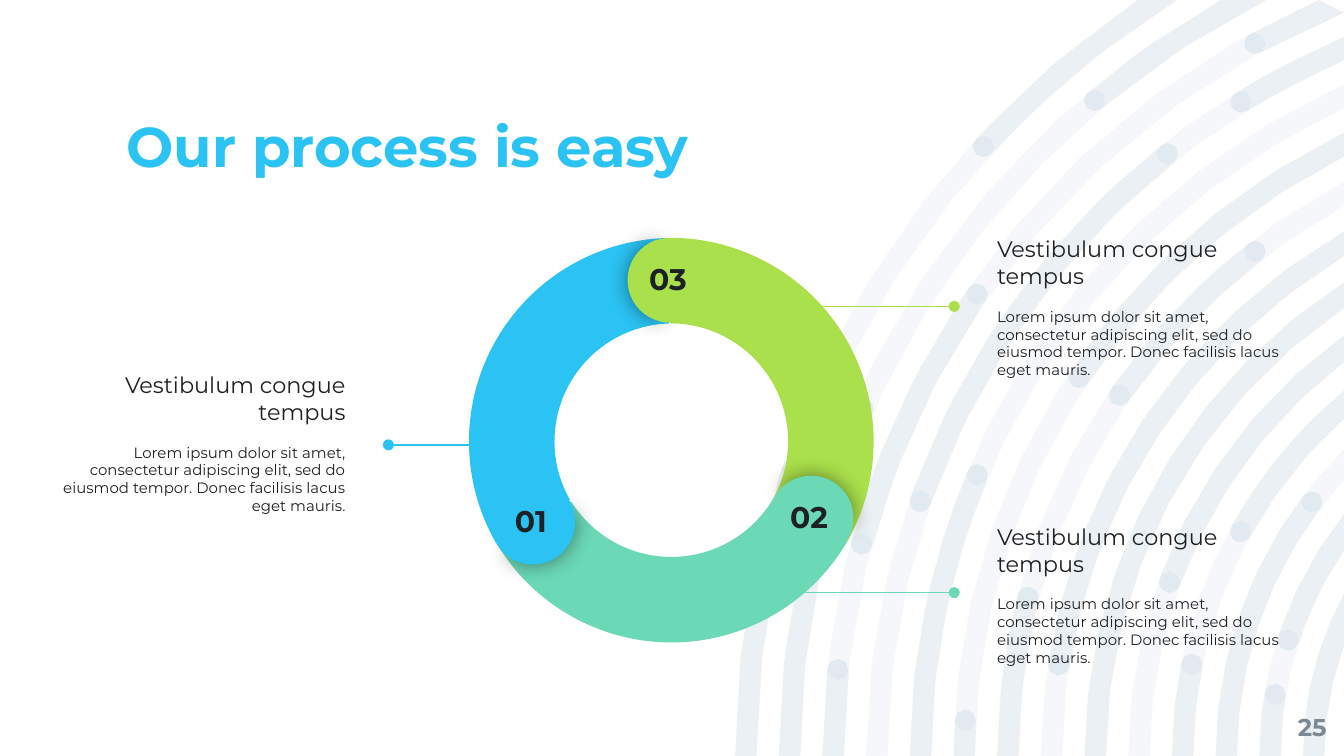
import math
from dataclasses import dataclass

import pptx
import pptx.dml.color
import pptx.enum.shapes
import pptx.enum.text
import pptx.oxml
import pptx.oxml.ns
import pptx.util

SHAPE = pptx.enum.shapes.MSO_SHAPE
ALIGN = pptx.enum.text.PP_ALIGN
ANCHOR = pptx.enum.text.MSO_ANCHOR


@dataclass(frozen=True)
class Theme:
    font: str = "Montserrat"
    blue: str = "2AC3F3"
    lime: str = "A9E04B"
    mint: str = "6BD8B6"
    ink: str = "1E2124"
    gray: str = "7C8894"
    pattern: str = "004591"
    title: float = 30
    number: float = 16
    page: float = 13
    heading: float = 12
    body: float = 8


THEME = Theme()

# The slide is a grid of 10 columns by 5.625 rows, each one unit long
COLUMNS, ROWS = 10, 5.625
UNIT = pptx.util.Inches(1)

# Background rings: centre, outermost middle radius, step and half thickness
CENTER_X, CENTER_Y = 12.25, ROWS
RADIUS, STEP, HALF = 6.7, 0.325, 0.08
EDGE = 90  # an angle beyond the slide's border
# Darker stretches of each ring, in degrees above the bottom border
STRETCHES = [
    [(0, 18.5), (42.6, EDGE)],
    [(0, 23.9), (49.9, EDGE)],
    [(0, 6.1), (15.1, 34.6), (61.2, EDGE)],
    [(19.3, 51.5), (58.2, EDGE)],
    [(0, 22.8)],
    [(0, 3), (33.7, EDGE)],
    [(0, 14.4), (34.4, 52.2)],
    [(8.8, EDGE)],
    [(0, EDGE)],
    [(20, EDGE)],
    [(0, 11.4), (28.9, EDGE)],
    [(0, 37.2)],
    [(0, 9.4), (17.9, EDGE)],
    [(0, EDGE)],
]

HEADING = "Vestibulum congue tempus"
BODY = ("Lorem ipsum dolor sit amet, consectetur adipiscing elit, sed do "
        "eiusmod tempor. Donec facilisis lacus eget mauris.")


def grid(*lengths):
    return [pptx.util.Emu(round(length * UNIT)) for length in lengths]


def rgb(color):
    return pptx.dml.color.RGBColor.from_string(color)


def add_xml(parent, body):
    parent.append(pptx.oxml.parse_xml(
        body.replace(">", f" {pptx.oxml.ns.nsdecls('a')}>", 1)))


def paint(shape, color, alpha=None):
    shape.shadow.inherit = False
    shape.fill.solid()
    shape.fill.fore_color.rgb = rgb(color)
    shape.line.fill.background()
    if alpha:
        fill = shape._element.spPr.find(pptx.oxml.ns.qn("a:solidFill"))
        add_xml(fill[0], f'<a:alpha val="{alpha * 1000}"></a:alpha>')


def polar(radius, degrees, center=(CENTER_X, CENTER_Y)):
    angle = math.radians(degrees)
    return center[0] - radius * math.cos(angle), center[1] - radius * math.sin(angle)


def arc(radius, start, stop):
    """Points along a ring's edge, cut at the slide's top and right borders."""
    limit = math.degrees(math.acos((CENTER_X - COLUMNS) / radius))
    if radius > ROWS:
        limit = min(limit, math.degrees(math.asin(ROWS / radius)))
    stop = min(stop, limit)
    steps = math.ceil((stop - start) / 7)
    return [polar(radius, start + (stop - start) * i / steps) for i in range(steps + 1)]


def cap(radius, degrees, first):
    """Half circle that rounds the end of a stretch."""
    center = polar(radius, degrees)
    return [polar(HALF, degrees + first + turn, center) for turn in (45, 90, 135)]


def band(radius, start, stop):
    points = arc(radius + HALF, start, stop)
    if stop < EDGE:
        points += cap(radius, stop, 0)
    points += reversed(arc(radius - HALF, start, stop))
    if start > 0:
        points += cap(radius, start, 180)
    return points


def dot(radius, degrees):
    center = polar(radius, degrees)
    return [polar(HALF, turn, center) for turn in range(0, 360, 45)]


def add_pattern(slide, outlines):
    """One translucent outline made of many closed contours."""
    builder = None
    for outline in outlines:
        first, *others = [grid(*point) for point in outline]
        if builder is None:
            builder = slide.shapes.build_freeform(*first, scale=1.0)
        else:
            builder.move_to(*first)
        builder.add_line_segments(others, close=True)
    paint(builder.convert_to_shape(), THEME.pattern, 4)


def add_background(slide):
    rings = [(RADIUS - STEP * i, spans) for i, spans in enumerate(STRETCHES)]
    add_pattern(slide, [band(radius, 0, EDGE) for radius, _ in rings])
    add_pattern(slide, [band(radius, *span) for radius, spans in rings for span in spans])
    # A dot on every rounded end
    add_pattern(slide, [dot(radius, end) for radius, spans in rings
                        for span in spans for end in span if 0 < end < EDGE])


def write(para, text, size, color, bold=False, align=ALIGN.LEFT):
    para.text = text
    para.alignment = align
    for span in para.runs:
        span.font.name, span.font.size = THEME.font, pptx.util.Pt(size)
        span.font.bold, span.font.color.rgb = bold, rgb(color)


def set_frame(frame, anchor, inset=0.0):
    frame.word_wrap = True
    frame.auto_size = pptx.enum.text.MSO_AUTO_SIZE.NONE
    frame.vertical_anchor = anchor
    frame.margin_left, frame.margin_top, frame.margin_right, frame.margin_bottom = (
        grid(inset) * 4)


def add_text(slide, place, anchor, inset=0.0):
    frame = slide.shapes.add_textbox(*grid(*place)).text_frame
    set_frame(frame, anchor, inset)
    return frame


def add_title(slide, text):
    title = slide.shapes.title
    slide.shapes._spTree.append(title._element)  # in front of the background
    title.left, title.top, title.width, title.height = grid(0.94, 0.91, 8.13, 0.43)
    set_frame(title.text_frame, ANCHOR.BOTTOM)
    para = title.text_frame.paragraphs[0]
    write(para, text, THEME.title, THEME.blue, bold=True)
    para.line_spacing = 0.9


def add_callout(slide, left, top, align, start, stop, row, color):
    frame = add_text(slide, (left, top, 2.32, 1.41), ANCHOR.MIDDLE, 0.1)
    write(frame.paragraphs[0], HEADING, THEME.heading, THEME.ink, align=align)
    para = frame.add_paragraph()
    write(para, BODY, THEME.body, THEME.ink, align=align)
    para.space_before, para.space_after = pptx.util.Pt(9.75), pptx.util.Pt(16)
    leader = slide.shapes.add_connector(
        pptx.enum.shapes.MSO_CONNECTOR.STRAIGHT, *grid(start, row, stop, row))
    leader.line.color.rgb = rgb(color)
    leader.line.width = pptx.util.Pt(0.75)
    add_xml(leader.line._get_or_add_ln(), '<a:tailEnd type="oval"></a:tailEnd>')
    add_xml(leader._element.spPr, "<a:effectLst></a:effectLst>")


def add_sector(slide, kind, place, turn, adjustments, color, shadow=False):
    sector = slide.shapes.add_shape(kind, *grid(*place))
    paint(sector, color)
    sector.rotation = turn
    for i, value in enumerate(adjustments):
        sector.adjustments[i] = value
    if shadow:
        effects = sector._element.spPr.find(pptx.oxml.ns.qn("a:effectLst"))
        add_xml(effects, '<a:outerShdw blurRad="142240" dist="0" algn="ctr" rotWithShape="0">'
                '<a:srgbClr val="000000"><a:alpha val="43000"/></a:srgbClr></a:outerShdw>')


def add_cycle(slide):
    # Three thirds of the ring; angles are in units of 1/0.6 degree
    for left, top, turn, end, color in [(3.47, 1.77, 60, 197.82, THEME.lime),
                                        (3.48, 1.75, 180, 196.63, THEME.mint),
                                        (3.49, 1.77, 300, 197.03, THEME.blue)]:
        add_sector(slide, SHAPE.BLOCK_ARC, (left, top, 3.03, 3.03), turn,
                   (126.23, end, 0.21), color)
    # Rounded heads: a shadowed half, then a plain half that hides the seam
    heads = [("01", 3.65, 3.57, 240, THEME.blue),
             ("03", 4.67, 1.77, 0, THEME.lime),
             ("02", 5.72, 3.54, 120, THEME.mint)]
    for _, left, top, turn, color in heads:
        place = (left, top, 0.63, 0.63)
        add_sector(slide, SHAPE.PIE, place, turn + 0.7, (61.9, 149.96), color, shadow=True)
        add_sector(slide, SHAPE.PIE, place, (turn + 180) % 360, (40.28, 171.84), color)
    for number, left, top, _, _ in heads:
        frame = add_text(slide, (left + 0.02, top + 0.07, 0.56, 0.29), ANCHOR.TOP, 0.1)
        write(frame.paragraphs[0], number, THEME.number, THEME.ink, True, ALIGN.CENTER)


def main():
    deck = pptx.Presentation()
    deck.slide_width, deck.slide_height = grid(COLUMNS, ROWS)
    slide = deck.slides.add_slide(deck.slide_layouts[5])
    add_background(slide)
    add_title(slide, "Our process is easy")
    page = add_text(slide, (9.27, 5.19, 0.6, 0.43), ANCHOR.MIDDLE)
    write(page.paragraphs[0], "25", THEME.page, THEME.gray, True, ALIGN.RIGHT)
    add_callout(slide, 0.35, 2.59, ALIGN.RIGHT, 3.58, 2.89, 3.31, THEME.blue)
    add_callout(slide, 7.32, 1.58, ALIGN.LEFT, 5.7, 7.1, 2.28, THEME.lime)
    add_callout(slide, 7.32, 3.72, ALIGN.LEFT, 5.7, 7.1, 4.41, THEME.mint)
    add_cycle(slide)
    deck.save("out.pptx")


if __name__ == "__main__":
    main()
